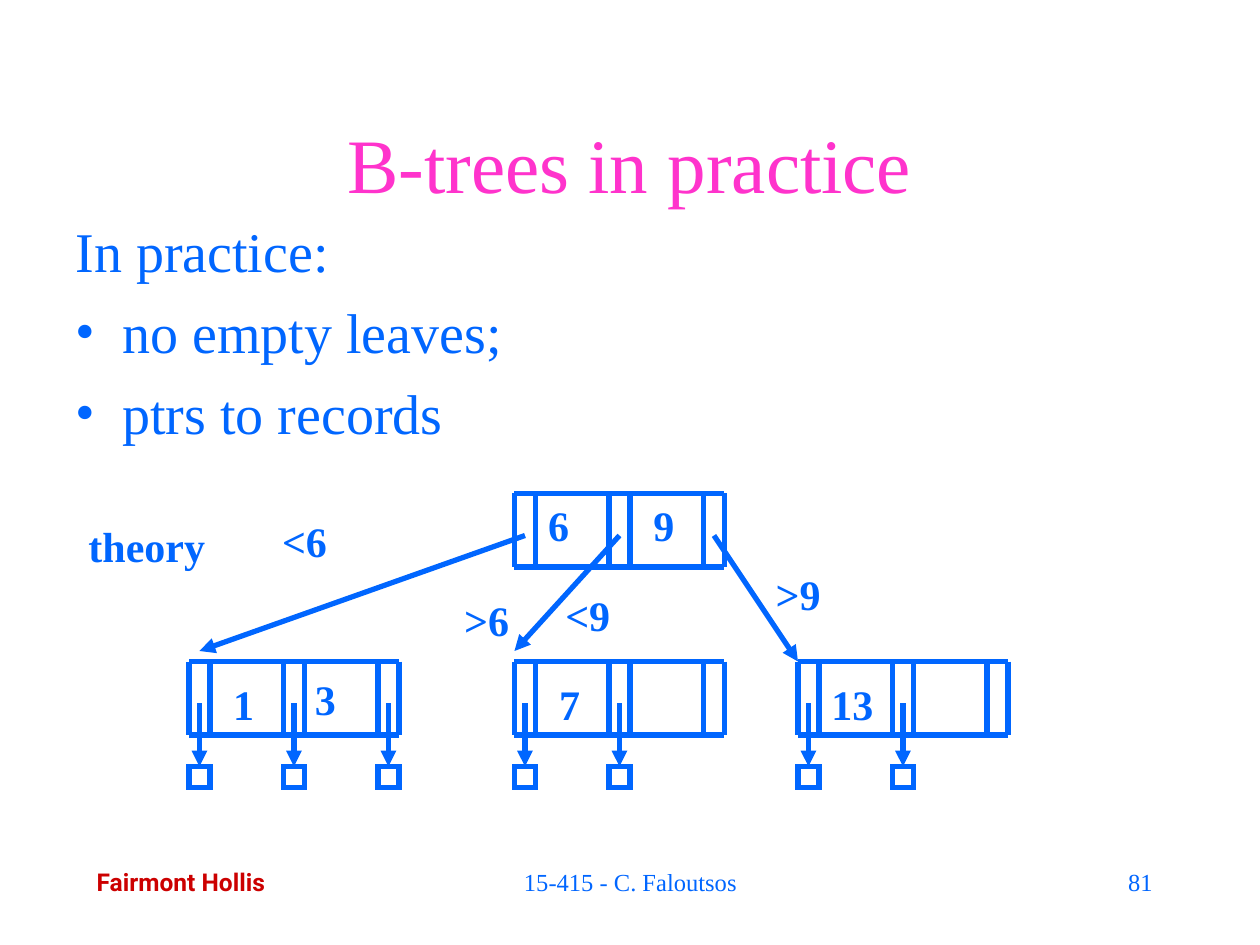
"""Build the slide on B-trees in practice."""
from dataclasses import dataclass

from lxml import etree
from pptx import Presentation
from pptx import util as u
from pptx.dml.color import RGBColor
from pptx.enum import shapes, text
from pptx.oxml.ns import qn

BLUE = RGBColor(0x00, 0x66, 0xFF)
PINK = RGBColor(0xFF, 0x33, 0xCC)
RED = RGBColor(0xCC, 0x00, 0x00)
WHITE = RGBColor(0xFF, 0xFF, 0xFF)
SERIF = "Times New Roman"
SANS = "Roboto"

LEFT, CENTER, RIGHT = text.PP_ALIGN.LEFT, text.PP_ALIGN.CENTER, text.PP_ALIGN.RIGHT
STROKE = u.Pt(3)
NODE_WIDTH, NODE_HEIGHT, SLOT = 20, 7, 2
ROOT_TOP, LEAF_TOP, RECORD_TOP = 47, 63, 73
POINTER_TOP = 67


@dataclass
class Node:
    left: int
    top: int
    middle: int
    records: int = 0

    @property
    def slots(self) -> tuple:
        return self.left, self.left + self.middle, self.left + NODE_WIDTH - SLOT


@dataclass
class Label:
    wording: str
    left: float
    top: float
    width: float
    height: float = 1.27
    size: int = 24
    color: RGBColor = BLUE
    font: str = SERIF
    bold: bool = True
    align: text.PP_ALIGN = CENTER
    anchor: text.MSO_ANCHOR = text.MSO_ANCHOR.TOP
    wrap: bool = False


NODES = [
    Node(49, ROOT_TOP, 9),
    Node(76, LEAF_TOP, 9, records=2),
    Node(49, LEAF_TOP, 9, records=2),
    Node(18, LEAF_TOP, 9, records=3),
]
BRANCHES = [((50, 51), (19, 62)), ((59, 51), (49, 62)), ((68, 51), (76, 63))]
KEYS = [
    Label("1", 4.45, 13.55, 0.91),
    Label("3", 6.1, 13.45, 0.91),
    Label("6", 10.8, 9.95, 0.91),
    Label("7", 11.02, 13.55, 0.91),
    Label("9", 12.92, 9.95, 0.91),
    Label("13", 16.51, 13.55, 1.35),
]
RANGES = [
    Label("<6", 5.39, 10.27, 1.5),
    Label(">6", 9.06, 11.86, 1.5),
    Label("<9", 11.1, 11.76, 1.5),
    Label(">9", 15.34, 11.33, 1.5),
    Label("theory", 1.27, 10.36, 3.38, wrap=True),
]
FOOTER = [
    Label("Fairmont Hollis", 1.7, 17.35, 4.6, 0.86, 14, RED, SANS, align=LEFT, wrap=True),
    Label("15-415 - C. Faloutsos", 8.69, 17.35, 8.04, size=14, bold=False, wrap=True),
    Label("81", 18.21, 17.35, 5.28, size=14, bold=False, align=RIGHT, wrap=True),
]
TITLE = Label("B-trees in practice", 1.9, 1.7, 21.59, 3.18, 44, PINK, bold=False,
              anchor=text.MSO_ANCHOR.MIDDLE, wrap=True)
BODY = Label("In practice:\nno empty leaves;\nptrs to records", 1.27, 4.24, 9.96, 5.92,
             32, bold=False, align=LEFT, wrap=True)


def grid(steps: float) -> u.Length:
    """Turn twelfths of an inch into a length."""
    return u.Cm(2.54 * steps / 12)


def apply(target, values: dict) -> None:
    """Set every named attribute on the target."""
    for name, value in values.items():
        setattr(target, name, value)


def draw_label(slide, label: Label):
    """Write a label and return its text frame."""
    box = slide.shapes.add_textbox(
        *(u.Cm(n) for n in (label.left, label.top, label.width, label.height)))
    frame = box.text_frame
    fit = text.MSO_AUTO_SIZE.NONE if label.wrap else text.MSO_AUTO_SIZE.SHAPE_TO_FIT_TEXT
    apply(frame, {"text": label.wording, "word_wrap": label.wrap, "auto_size": fit,
                  "vertical_anchor": label.anchor})
    for paragraph in frame.paragraphs:
        paragraph.alignment = label.align
        apply(paragraph.runs[0].font, {"name": label.font, "size": u.Pt(label.size),
                                       "bold": label.bold})
        paragraph.runs[0].font.color.rgb = label.color
    return frame


def draw_body(slide) -> None:
    """Write the body with its bulleted points."""
    for row, paragraph in enumerate(draw_label(slide, BODY).paragraphs):
        paragraph.space_before = u.Pt(8)
        properties = paragraph._p.get_or_add_pPr()
        properties.set("marL", str(u.Cm(0.95)))
        properties.set("indent", str(u.Cm(-0.95)))
        if row:
            etree.SubElement(properties, qn("a:buFont"), typeface=SERIF)
            etree.SubElement(properties, qn("a:buChar"), char="•")


def draw_line(slide, start: tuple, end: tuple, arrow: bool = False):
    """Draw a straight line between two grid points."""
    line = slide.shapes.add_connector(
        shapes.MSO_CONNECTOR.STRAIGHT, *(grid(n) for n in (*start, *end)))
    line.line.color.rgb = BLUE
    line.line.width = STROKE
    properties = line.element.spPr
    if arrow:
        etree.SubElement(properties.find(qn("a:ln")), qn("a:tailEnd"), type="triangle")
    etree.SubElement(properties, qn("a:effectLst"))
    return line


def draw_record(slide, left: int) -> None:
    """Draw a record box and the pointer that leads to it."""
    middle = left + SLOT / 2
    pointer = draw_line(slide, (middle, POINTER_TOP), (middle, RECORD_TOP), arrow=True)
    record = slide.shapes.add_shape(
        shapes.MSO_SHAPE.RECTANGLE, *(grid(n) for n in (left, RECORD_TOP, SLOT, SLOT)))
    record.shadow.inherit = False
    record.fill.solid()
    record.fill.fore_color.rgb = WHITE
    record.line.color.rgb = BLUE
    record.line.width = STROKE
    etree.SubElement(record.element.spPr.find(qn("a:ln")), qn("a:miter"), lim="800000")
    pointer.end_connect(record, 0)


def draw_node(slide, node: Node) -> None:
    """Draw the slots, the rails and the records of a node."""
    bottom = node.top + NODE_HEIGHT
    for slot in node.slots:
        for x in (slot, slot + SLOT):
            draw_line(slide, (x, node.top), (x, bottom))
    for y in (node.top, bottom):
        draw_line(slide, (node.left, y), (node.left + NODE_WIDTH, y))
    for slot in node.slots[:node.records]:
        draw_record(slide, slot)


def main() -> None:
    """Build and save the slide."""
    deck = Presentation()
    apply(deck, {"slide_width": u.Cm(25.4), "slide_height": u.Cm(19.05)})
    slide = deck.slides.add_slide(deck.slide_layouts[6])
    draw_label(slide, TITLE)
    draw_body(slide)
    for node in NODES:
        draw_node(slide, node)
    for start, end in BRANCHES:
        draw_line(slide, start, end, arrow=True)
    for label in KEYS + RANGES + FOOTER:
        draw_label(slide, label)
    deck.save("out.pptx")


if __name__ == "__main__":
    main()
